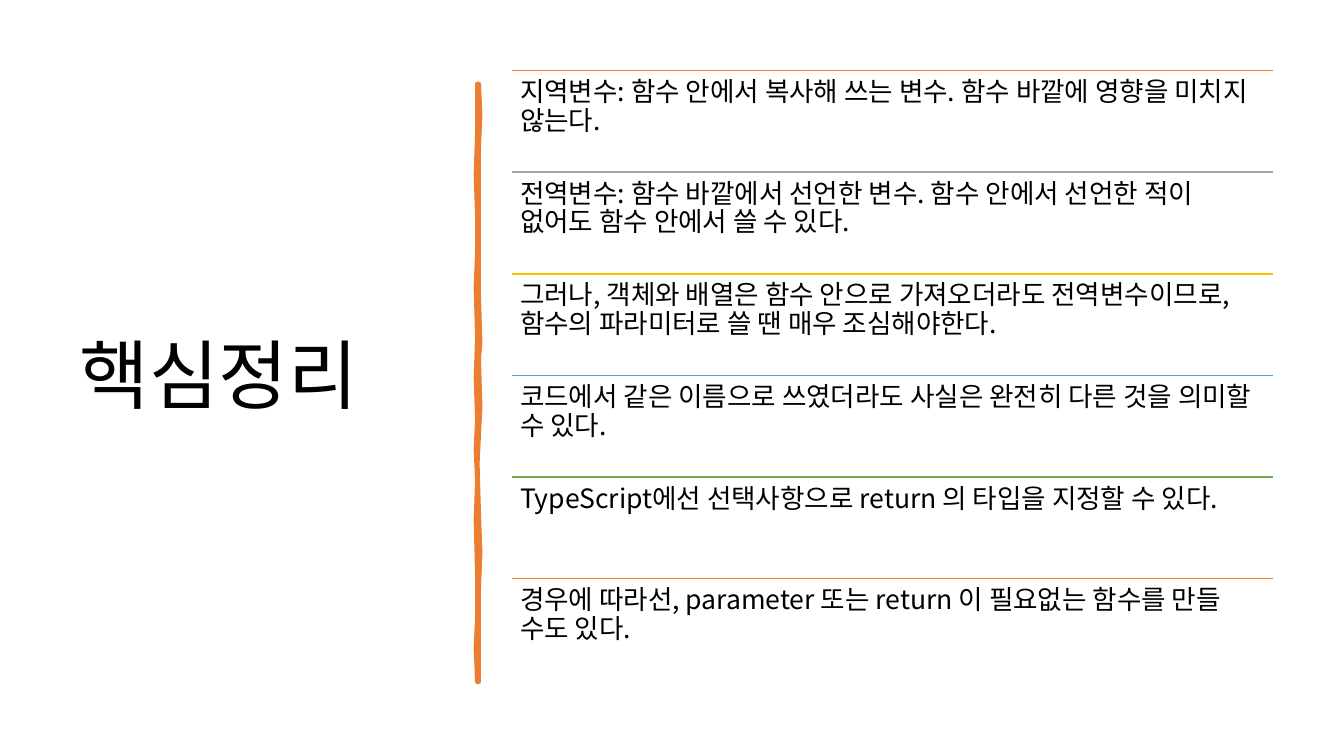
from lxml import etree
from pptx import Presentation
from pptx.dml.color import RGBColor as RGB
from pptx.enum.shapes import MSO_CONNECTOR as Link
from pptx.enum.text import MSO_ANCHOR as Anchor, MSO_AUTO_SIZE as Fit, PP_ALIGN as Align
from pptx.oxml.ns import qn
from pptx.util import Pt

FONT = "Noto Sans CJK KR"
BLACK = RGB(0x00, 0x00, 0x00)
ORANGE = RGB(0xED, 0x7D, 0x31)
GRAY = RGB(0xA5, 0xA5, 0xA5)
GOLD = RGB(0xFF, 0xC0, 0x00)
BLUE = RGB(0x5B, 0x9B, 0xD5)
GREEN = RGB(0x70, 0xAD, 0x47)

TITLE = "핵심정리"
ITEMS = [
    ("지역변수: 함수 안에서 복사해 쓰는 변수. 함수 바깥에 영향을 미치지 않는다.", ORANGE),
    ("전역변수: 함수 바깥에서 선언한 변수. 함수 안에서 선언한 적이 없어도 함수 안에서 쓸 수 있다.", GRAY),
    ("그러나, 객체와 배열은 함수 안으로 가져오더라도 전역변수이므로, 함수의 파라미터로 쓸 땐 매우 조심해야한다.", GOLD),
    ("코드에서 같은 이름으로 쓰였더라도 사실은 완전히 다른 것을 의미할 수 있다.", BLUE),
    ("TypeScript에선 선택사항으로 return 의 타입을 지정할 수 있다.", GREEN),
    ("경우에 따라선, parameter 또는 return 이 필요없는 함수를 만들 수도 있다.", ORANGE),
]
RIGHT = [(342, 60.5), (342.7, 82), (342, 105), (342.3, 130), (341.7, 163),
         (342, 212), (342.6, 245), (342, 256), (342.7, 290), (341.3, 331),
         (342, 367), (342.6, 395), (342, 420), (341.6, 453), (342, 486.7)]
LEFT = [(340.6, 486.7), (340, 463), (340.6, 441), (340.9, 410), (340.2, 372),
        (340.6, 343), (339.9, 321), (340.9, 299), (340.2, 270), (340.6, 241),
        (339.9, 205), (340.6, 180), (340.9, 155), (339.8, 124), (340.6, 96),
        (340.9, 78), (340.6, 60.5)]
X, Y, WIDE, STEP, PAD = 365.76, 50.4, 543.6, 72.6, 5.76


def write(shape, text, size, anchor=Anchor.TOP, pad=None):
    frame = shape.text_frame
    frame.word_wrap = True
    frame.auto_size = Fit.NONE
    frame.vertical_anchor = anchor
    if pad is not None:
        frame.margin_left = frame.margin_right = Pt(pad)
        frame.margin_top = frame.margin_bottom = Pt(pad)
    para = frame.paragraphs[0]
    para.alignment = Align.LEFT
    para.line_spacing = 0.9
    run = para.add_run()
    run.text = text
    font = run.font
    font.name, font.size = FONT, Pt(size)
    font.color.rgb = BLACK
    east = etree.Element(qn("a:ea"), typeface=FONT)
    font._element.find(qn("a:latin")).addnext(east)


deck = Presentation()
deck.slide_width, deck.slide_height = Pt(960), Pt(540)
slide = deck.slides.add_slide(deck.slide_layouts[5])
shapes = slide.shapes

title = shapes.title
title.left, title.top, title.width, title.height = map(Pt, (49.7, 50.4, 269.3, 440))
write(title, TITLE, 54, anchor=Anchor.MIDDLE)

start, *rest = RIGHT + LEFT
pen = shapes.build_freeform(*start, scale=float(Pt(1)))
pen.add_line_segments(rest, close=True)
bar = pen.convert_to_shape()
bar.shadow.inherit = False
bar.fill.solid()
bar.fill.fore_color.rgb = ORANGE
bar.line.color.rgb = ORANGE
bar.line.width = Pt(3.25)
etree.SubElement(bar.line._get_or_add_ln(), qn("a:round"))

for row, (text, color) in enumerate(ITEMS):
    top = Y + row * STEP
    rule = shapes.add_connector(Link.STRAIGHT, Pt(X), Pt(top), Pt(X + WIDE), Pt(top))
    rule.line.color.rgb = color
    rule.line.width = Pt(1)
    etree.SubElement(rule._element.spPr, qn("a:effectLst"))
    box = shapes.add_textbox(Pt(X), Pt(top), Pt(WIDE), Pt(STEP))
    write(box, text, 19, pad=PAD)

deck.save("out.pptx")
